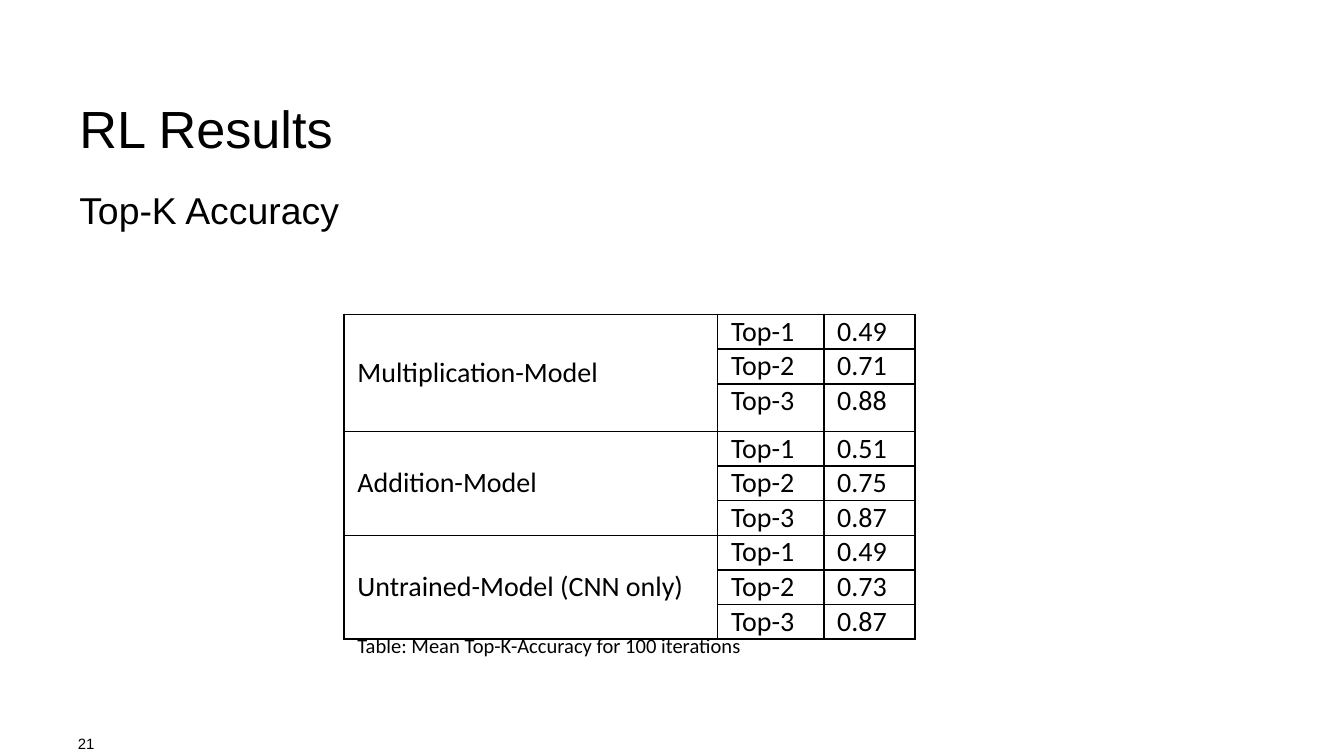
"""Build the slide with the Top-K accuracy table of the RL results."""
from typing import NamedTuple

from lxml import etree
from pptx import Presentation
from pptx.dml.color import RGBColor
from pptx.enum.text import MSO_ANCHOR, PP_ALIGN
from pptx.oxml.ns import qn
from pptx.util import Inches, Pt

BLACK = RGBColor(0, 0, 0)
TOP, MIDDLE = MSO_ANCHOR.TOP, MSO_ANCHOR.MIDDLE
LEFT, JUSTIFY = PP_ALIGN.LEFT, PP_ALIGN.JUSTIFY
BORDER_TAGS = ("a:lnL", "a:lnR", "a:lnT", "a:lnB")
SLIDE_WIDTH = 10
SLIDE_HEIGHT = SLIDE_WIDTH * 9 / 16
COLUMN_WIDTHS = (2.78, 0.79, 0.68)
TABLE_HEIGHT = 2.32
TALL_ROW, TALL_ROW_HEIGHT = 2, 0.35


class ModelResult(NamedTuple):
    name: str
    accuracies: tuple[str, ...]


class TextBlock(NamedTuple):
    text: str
    box: tuple[float, float, float, float]
    size: float
    font: str = "Arial"
    line_spacing: float | None = None
    space_after: float = 0
    anchor: MSO_ANCHOR = TOP
    margins: tuple[float, float] = (0, 0)


RESULTS = (
    ModelResult("Multiplication-Model", ("0.49", "0.71", "0.88")),
    ModelResult("Addition-Model", ("0.51", "0.75", "0.87")),
    ModelResult("Untrained-Model (CNN only)", ("0.49", "0.73", "0.87")),
)

TEXT_BLOCKS = (
    TextBlock("21", (0.58, 5.45, 1.57, 0.17), 8, anchor=MIDDLE),
    TextBlock("Top-K Accuracy", (0.59, 1.28, 7.68, 0.41), 20, line_spacing=32, space_after=6),
    TextBlock("RL Results", (0.59, 0.74, 7.68, 0.45), 28, line_spacing=32),
    TextBlock("Table: Mean Top-K-Accuracy for 100 iterations", (2.56, 4.66, 5.45, 0.29), 11,
              font="Calibri", margins=(0.1, 0.05)),
)


def write_text(text_frame, text: str, *, size: float, font: str, alignment=LEFT,
               line_spacing: float | None = None, space_after: float = 0) -> None:
    paragraph = text_frame.paragraphs[0]
    paragraph.alignment = alignment
    paragraph.space_after = Pt(space_after)
    if line_spacing:
        paragraph.line_spacing = Pt(line_spacing)
    run = paragraph.add_run()
    run.text = text
    run.font.size = Pt(size)
    run.font.name = font
    run.font.color.rgb = BLACK


def set_margins(target, horizontal: float, vertical: float) -> None:
    target.margin_left = target.margin_right = Inches(horizontal)
    target.margin_top = target.margin_bottom = Inches(vertical)


def add_text_block(slide, block: TextBlock) -> None:
    text_frame = slide.shapes.add_textbox(*map(Inches, block.box)).text_frame
    text_frame.word_wrap = True
    text_frame.vertical_anchor = block.anchor
    set_margins(text_frame, *block.margins)
    write_text(text_frame, block.text, size=block.size, font=block.font,
               line_spacing=block.line_spacing, space_after=block.space_after)


def add_borders(cell) -> None:
    properties = cell._tc.get_or_add_tcPr()
    for tag in BORDER_TAGS:
        line = etree.SubElement(properties, qn(tag), w=str(Pt(1)))
        fill = etree.SubElement(line, qn("a:solidFill"))
        etree.SubElement(fill, qn("a:srgbClr"), val=str(BLACK))


def fill_cell(cell, text: str, *, alignment=JUSTIFY, anchor=TOP, vertical_margin: float = 0) -> None:
    set_margins(cell, 0.1, vertical_margin)
    cell.vertical_anchor = anchor
    add_borders(cell)
    cell.fill.background()
    write_text(cell.text_frame, text, size=15, font="Calibri", alignment=alignment)


def add_results_table(slide, results: tuple[ModelResult, ...]) -> None:
    row_count = sum(len(result.accuracies) for result in results)
    table = slide.shapes.add_table(row_count, len(COLUMN_WIDTHS), Inches(2.56), Inches(2.34),
                                   Inches(sum(COLUMN_WIDTHS)), Inches(TABLE_HEIGHT)).table
    table.first_row = table.horz_banding = False
    for column, width in zip(table.columns, COLUMN_WIDTHS):
        column.width = Inches(width)
    table.rows[TALL_ROW].height = Inches(TALL_ROW_HEIGHT)

    first_row = 0
    for result in results:
        last_row = first_row + len(result.accuracies) - 1
        table.cell(first_row, 0).merge(table.cell(last_row, 0))
        fill_cell(table.cell(first_row, 0), result.name, alignment=LEFT, anchor=MIDDLE,
                  vertical_margin=0.05)
        for rank, accuracy in enumerate(result.accuracies, start=1):
            row = first_row + rank - 1
            if rank > 1:
                fill_cell(table.cell(row, 0), "")
            fill_cell(table.cell(row, 1), f"Top-{rank}")
            fill_cell(table.cell(row, 2), accuracy)
        first_row = last_row + 1


def main() -> None:
    presentation = Presentation()
    presentation.slide_width = Inches(SLIDE_WIDTH)
    presentation.slide_height = Inches(SLIDE_HEIGHT)
    slide = presentation.slides.add_slide(presentation.slide_layouts[6])
    add_results_table(slide, RESULTS)
    for block in TEXT_BLOCKS:
        add_text_block(slide, block)
    presentation.save("out.pptx")


if __name__ == "__main__":
    main()
